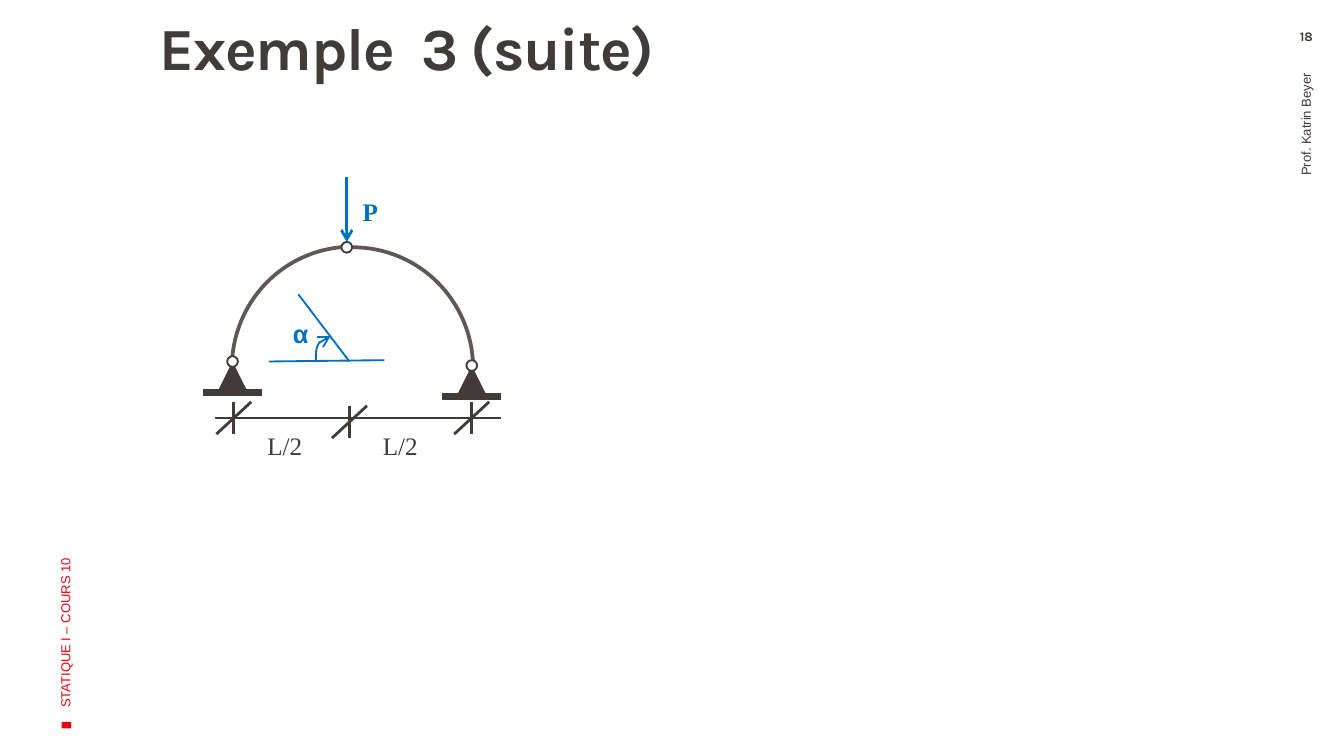
"""Build the slide showing a three-hinged arch under a crown load."""
from lxml import etree
from pptx import Presentation
from pptx.dml.color import RGBColor
from pptx.enum.shapes import MSO_CONNECTOR, MSO_SHAPE
from pptx.enum.text import MSO_ANCHOR, PP_ALIGN
from pptx.oxml.ns import qn
from pptx.util import Inches, Pt

STRAIGHT = MSO_CONNECTOR.STRAIGHT
ARC, OVAL = MSO_SHAPE.ARC, MSO_SHAPE.OVAL
RECT, TRIANGLE = MSO_SHAPE.RECTANGLE, MSO_SHAPE.ISOSCELES_TRIANGLE
TOP, MIDDLE = MSO_ANCHOR.TOP, MSO_ANCHOR.MIDDLE
LEFT, CENTER, RIGHT = PP_ALIGN.LEFT, PP_ALIGN.CENTER, PP_ALIGN.RIGHT

THEME = {
    "ink": "413C3A", "arch": "605855", "blue": "0070C0", "red": "E30613", "white": "FFFFFF",
    "title_font": "Karla", "body_font": "Arial", "math_font": "Times New Roman",
    "title": 32, "small": 7, "label": 13.5,
}
INSETS = (0.1, 0.05, 0.1, 0.05)

PAGE_TEXTS = [
    ("Exemple  3 (suite)", (0.99, 0.14, 7.67, 1.17),
     dict(size="title", font="title_font", bold=True, insets=(0.2, 0, 0.08, 0.05),
          line_spacing=0.9, tracking=-70)),
    ("STATIQUE I – COURS 10", (-1.34, 3.04, 3.65, 1),
     dict(color="red", anchor=MIDDLE, rotation=270)),
    ("Prof. Katrin Beyer", (7.78, 2.05, 3.87, 0.56),
     dict(align=RIGHT, anchor=MIDDLE, rotation=270, insets=(0.1, 0.05, 0.15, 0.05))),
    ("18", (9.44, 0.21, 0.56, 0.18),
     dict(font="title_font", bold=True, align=CENTER, insets=(0.1, 0, 0.1, 0))),
]
LABELS = [
    ("P", (2.6, 1.41, 0.38, 0.43), dict(font="math_font", color="blue", bold=True)),
    ("L/2", (1.89, 3.15, 0.48, 0.35), dict(font="math_font")),
    ("L/2", (2.75, 3.15, 0.48, 0.35), dict(font="math_font")),
    ("α", (2.08, 2.32, 0.32, 0.35), dict(color="blue", bold=True)),
]
ARCS = [((1.73, 1.84, 1.79, 1.8), 0), ((1.72, 1.84, 1.8, 1.79), 270)]
SUPPORTS = [(1.73, 2.69), (3.51, 2.72)]
CROWN = (2.58, 1.84)
TICKS = [(1.74, 2.99), (2.6, 3.02), (3.51, 2.99)]
ANGLE_LINES = [((2.22, 2.19), (2.6, 2.69)), ((2, 2.69), (2.86, 2.68))]
ANGLE_CURVES = [
    ((2.35, 2.68), (2.35, 2.63), (2.35, 2.59), (2.37, 2.56)),
    ((2.37, 2.56), (2.39, 2.53), (2.42, 2.51), (2.46, 2.5)),
]


def rgb(name):
    return RGBColor.from_string(THEME[name])


def style_line(sp, color, width, arrow=False):
    sp.line.color.rgb = rgb(color)
    sp.line.width = Pt(width)
    if arrow:
        etree.SubElement(sp.line._get_or_add_ln(), qn("a:tailEnd"), type="arrow")


def add_text(s, text, box, size="small", font="body_font", color="ink", bold=False,
             align=LEFT, anchor=TOP, insets=INSETS, rotation=0, wrap=True,
             line_spacing=None, tracking=None):
    sp = s.shapes.add_textbox(*map(Inches, box))
    sp.rotation = rotation
    tf = sp.text_frame
    tf.word_wrap, tf.vertical_anchor = wrap, anchor
    tf.margin_left, tf.margin_top, tf.margin_right, tf.margin_bottom = map(Inches, insets)
    p = tf.paragraphs[0]
    p.alignment, p.line_spacing = align, line_spacing
    r = p.add_run()
    r.text = text
    r.font.name, r.font.size, r.font.bold = THEME[font], Pt(THEME[size]), bold
    r.font.color.rgb = rgb(color)
    if tracking:
        r.font._element.set("spc", str(tracking))


def add_shape(s, kind, box, fill=None, line=None, width=1, rotation=0):
    sp = s.shapes.add_shape(kind, *map(Inches, box))
    sp.shadow.inherit = False
    sp.rotation = rotation
    if fill:
        sp.fill.solid()
        sp.fill.fore_color.rgb = rgb(fill)
    else:
        sp.fill.background()
    if line:
        style_line(sp, line, width)
    else:
        sp.line.fill.background()
    return sp


def add_line(s, start, end, color="ink", width=1.5, arrow=False):
    sp = s.shapes.add_connector(STRAIGHT, *map(Inches, (*start, *end)))
    style_line(sp, color, width, arrow)
    etree.SubElement(sp._element.spPr, qn("a:effectLst"))
    return sp


def add_hinge(s, x, y):
    return add_shape(s, OVAL, (x - 0.04, y - 0.04, 0.08, 0.08), "white", "ink")


def add_support(s, x, y):
    add_shape(s, TRIANGLE, (x - 0.11, y, 0.22, 0.22), "ink")
    add_line(s, (x - 0.22, y + 0.23), (x + 0.22, y + 0.23), width=4)
    add_hinge(s, x, y)


def add_tick(s, x, y):
    add_line(s, (x, y), (x, y + 0.24))
    add_line(s, (x - 0.13, y + 0.24), (x + 0.13, y))


def bezier(points, t):
    weights = ((1 - t) ** 3, 3 * t * (1 - t) ** 2, 3 * t * t * (1 - t), t ** 3)
    return tuple(Inches(sum(w * c for w, c in zip(weights, axis))) for axis in zip(*points))


def add_angle(s, steps=8):
    for start, end in ANGLE_LINES:
        add_line(s, start, end, "blue", 1)
    points = [bezier(c, i / steps) for c in ANGLE_CURVES for i in range(1, steps + 1)]
    builder = s.shapes.build_freeform(*map(Inches, ANGLE_CURVES[0][0]))
    builder.add_line_segments(points, close=False)
    sp = builder.convert_to_shape()
    sp.shadow.inherit = False
    sp.fill.background()
    style_line(sp, "blue", 1, arrow=True)


def main():
    prs = Presentation()
    prs.slide_width = Inches(10)
    prs.slide_height = prs.slide_width * 9 // 16
    s = prs.slides.add_slide(prs.slide_layouts[6])
    add_shape(s, RECT, (0.47, 5.36, 0.05, 0.07), "red", rotation=270)
    for text, box, fmt in PAGE_TEXTS:
        add_text(s, text, box, **fmt)
    for box, rotation in ARCS:
        add_shape(s, ARC, box, line="arch", width=2, rotation=rotation)
    for x, y in TICKS:
        add_tick(s, x, y)
    add_line(s, (1.6, 3.11), (3.73, 3.11))
    for x, y in SUPPORTS:
        add_support(s, x, y)
    crown = add_hinge(s, *CROWN)
    load = add_line(s, (CROWN[0], 1.32), (CROWN[0], 1.8), "blue", arrow=True)
    load.end_connect(crown, 0)
    add_angle(s)
    for text, box, fmt in LABELS:
        add_text(s, text, box, size="label", wrap=False, **fmt)
    prs.save("out.pptx")


if __name__ == "__main__":
    main()
